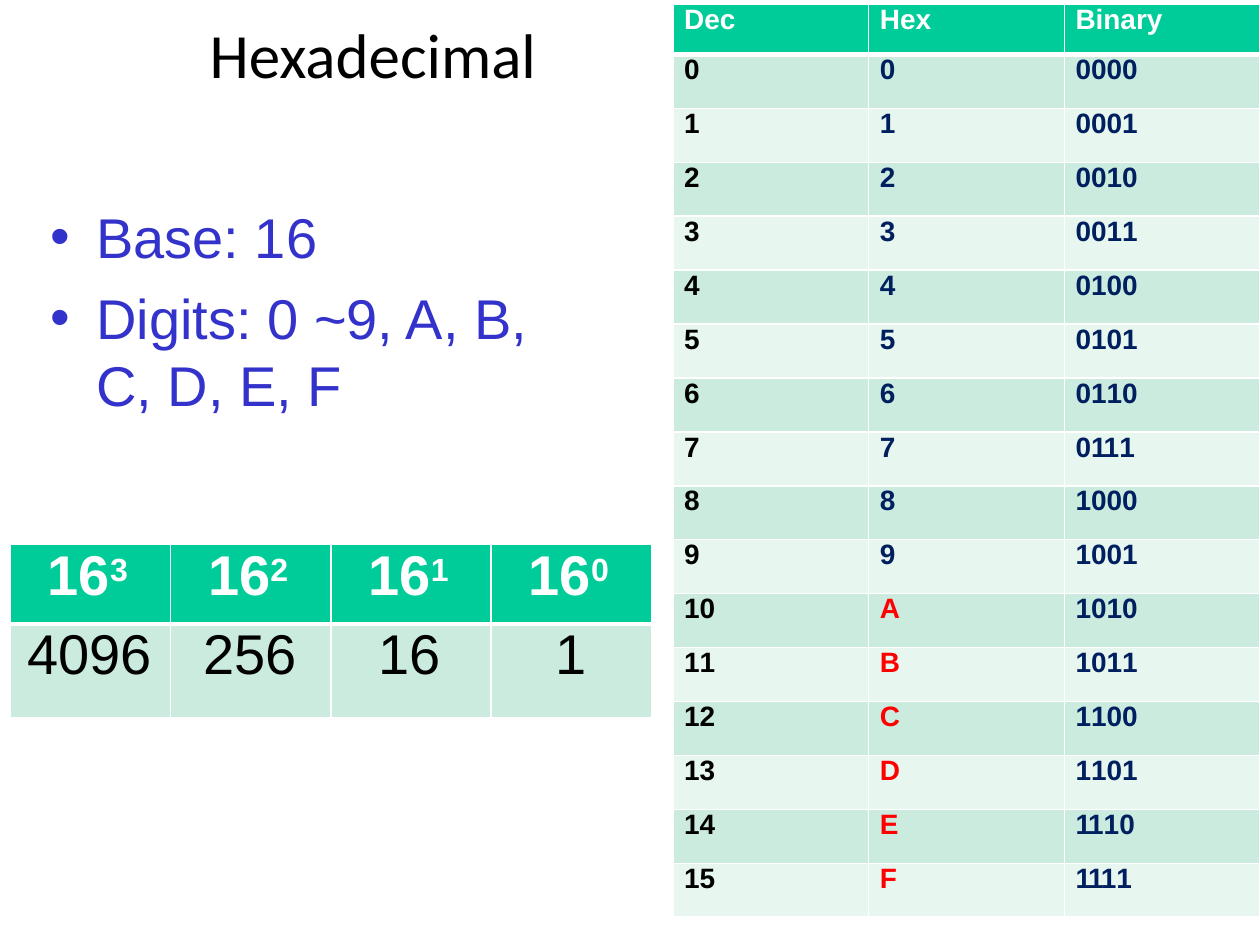
import pptx
import pptx.dml.color
import pptx.enum.text
import pptx.util
from lxml import etree
from pptx.oxml.ns import qn

Pt = pptx.util.Pt
ALIGN = pptx.enum.text.PP_ALIGN
ANCHOR = pptx.enum.text.MSO_ANCHOR

# Content
TITLE = "Hexadecimal"
FACTS = [  # text, has a bullet, space before
    ("Base: 16", True, 0),
    ("Digits: 0 ~9, A, B,", True, 7.7),
    ("C, D, E, F", False, 0),
]
CODE_HEADS = ["Dec", "Hex", "Binary"]
CODES = [(str(n), f"{n:X}", f"{n:04b}") for n in range(16)]
POWERS = [3, 2, 1, 0]
VALUE_INDENTS = [10, 18.7, 27.4, None]  # None centres the value

# Colours and text formats
WHITE, BLACK, BLUE, NAVY, RED = "FFFFFF", "000000", "3333CC", "001F5F", "FF0000"
HEAD_FILL, BAND_FILLS = "00CC99", ["CAEBDE", "E7F6EE"]
TITLE_FONT = {"name": "Calibri", "size": Pt(36)}
LARGE = {"name": "Arial", "size": Pt(32)}
LARGE_BOLD = {**LARGE, "bold": True}
POWER_FONT = {**LARGE_BOLD, "size": Pt(31.5)}
SMALL_BOLD = {"name": "Arial", "size": Pt(16), "bold": True}
THIN, THICK = 1, 3


def color(value):
    return pptx.dml.color.RGBColor.from_string(value)


def add_span(para, text, font, ink, **extras):
    """Add a run; extras are spacing and baseline in XML units."""
    span = para.add_run()
    span.text = text
    for name, value in font.items():
        setattr(span.font, name, value)
    span.font.color.rgb = color(ink)
    for name, value in extras.items():
        span.font._element.set(name, str(value))


def add_digits(para, text, font, ink):
    """Tighten each 1 that stands before another 1."""
    start = 0
    for end in range(1, len(text) + 1):
        tight = text[end - 1:end + 1] == "11"
        after = text[end:end + 2] == "11"
        if end == len(text) or tight != after:
            extras = {"spc": -80} if tight else {}
            add_span(para, text[start:end], font, ink, **extras)
            start = end


def indent(para, left, first=0):
    props = para._p.get_or_add_pPr()
    props.set("marL", str(Pt(left)))
    props.set("indent", str(Pt(first)))
    return props


def clear_margins(target):
    for side in ("left", "top", "right", "bottom"):
        setattr(target, f"margin_{side}", 0)


def add_box(page, left, top, width, height):
    box = page.shapes.add_textbox(Pt(left), Pt(top), Pt(width), Pt(height))
    box.text_frame.word_wrap = True
    clear_margins(box.text_frame)
    return box.text_frame


def add_grid(page, left, top, width, heights, columns):
    """Add a table with even columns, banded fills and white rules."""
    frame = page.shapes.add_table(len(heights), columns, Pt(left), Pt(top),
                                  Pt(width), Pt(sum(heights)))
    table = frame.table
    table.first_row = table.horz_banding = False
    for column in table.columns:
        column.width = Pt(width / columns)
    for index, height in enumerate(heights):
        table.rows[index].height = Pt(height)
        edges = {"L": THIN, "R": THIN,
                 "T": THICK if index == 1 else THIN,
                 "B": THICK if index == 0 else THIN}
        for cell in table.rows[index].cells:
            clear_margins(cell)
            for edge, weight in edges.items():
                line = etree.SubElement(cell._tc.get_or_add_tcPr(), qn(f"a:ln{edge}"),
                                        w=str(Pt(weight)))
                fill = etree.SubElement(line, qn("a:solidFill"))
                etree.SubElement(fill, qn("a:srgbClr"), val=WHITE)
            cell.fill.solid()
            cell.fill.fore_color.rgb = color(BAND_FILLS[(index - 1) % 2] if index else HEAD_FILL)
    return table


def cell_para(table, row, column, left):
    para = table.cell(row, column).text_frame.paragraphs[0]
    if left is None:
        para.alignment = ALIGN.CENTER
    else:
        indent(para, left)
    return para


def main():
    deck = pptx.Presentation()
    deck.slide_width, deck.slide_height = Pt(720), Pt(540)
    page = deck.slides.add_slide(deck.slide_layouts[6])

    # Title
    heading = add_box(page, 118.8, 11.5, 222.5, 38.2)
    heading.vertical_anchor = ANCHOR.MIDDLE
    indent(heading.paragraphs[0], 1)
    add_span(heading.paragraphs[0], TITLE, TITLE_FONT, BLACK)

    # Bulleted facts
    facts = add_box(page, 28.1, 115.9, 276.5, 118.8)
    for index, (text, bulleted, gap) in enumerate(FACTS):
        para = facts.add_paragraph() if index else facts.paragraphs[0]
        para.space_before = Pt(gap)
        props = indent(para, 27, -26 if bulleted else 0)
        if bulleted:
            etree.SubElement(props, qn("a:buFont"), typeface="Arial")
            etree.SubElement(props, qn("a:buChar"), char="•")
        add_span(para, text, LARGE, BLUE)

    # Decimal, hexadecimal and binary codes
    codes = add_grid(page, 384.5, 2.3, 335.5, [28.8] + [30.83] * len(CODES), 3)
    for column, text in enumerate(CODE_HEADS):
        add_span(cell_para(codes, 0, column, 6.5), text, SMALL_BOLD, WHITE)
    for row, code in enumerate(CODES, start=1):
        inks = [BLACK, RED if code[1].isalpha() else NAVY, NAVY]
        for column, (text, ink) in enumerate(zip(code, inks)):
            add_digits(cell_para(codes, row, column, 6.5), text, SMALL_BOLD, ink)

    # Place values
    places = add_grid(page, 5.8, 311.2, 366.5, [45.4, 53.3], len(POWERS))
    for column, (power, left) in enumerate(zip(POWERS, VALUE_INDENTS)):
        para = cell_para(places, 0, column, 21.6)
        add_span(para, "16", LARGE_BOLD, WHITE, spc=-10)
        add_span(para, str(power), POWER_FONT, WHITE, baseline=25000)
        para = cell_para(places, 1, column, left)
        add_span(para, str(16 ** power), LARGE, BLACK, spc=-10)

    deck.save("out.pptx")


if __name__ == "__main__":
    main()
